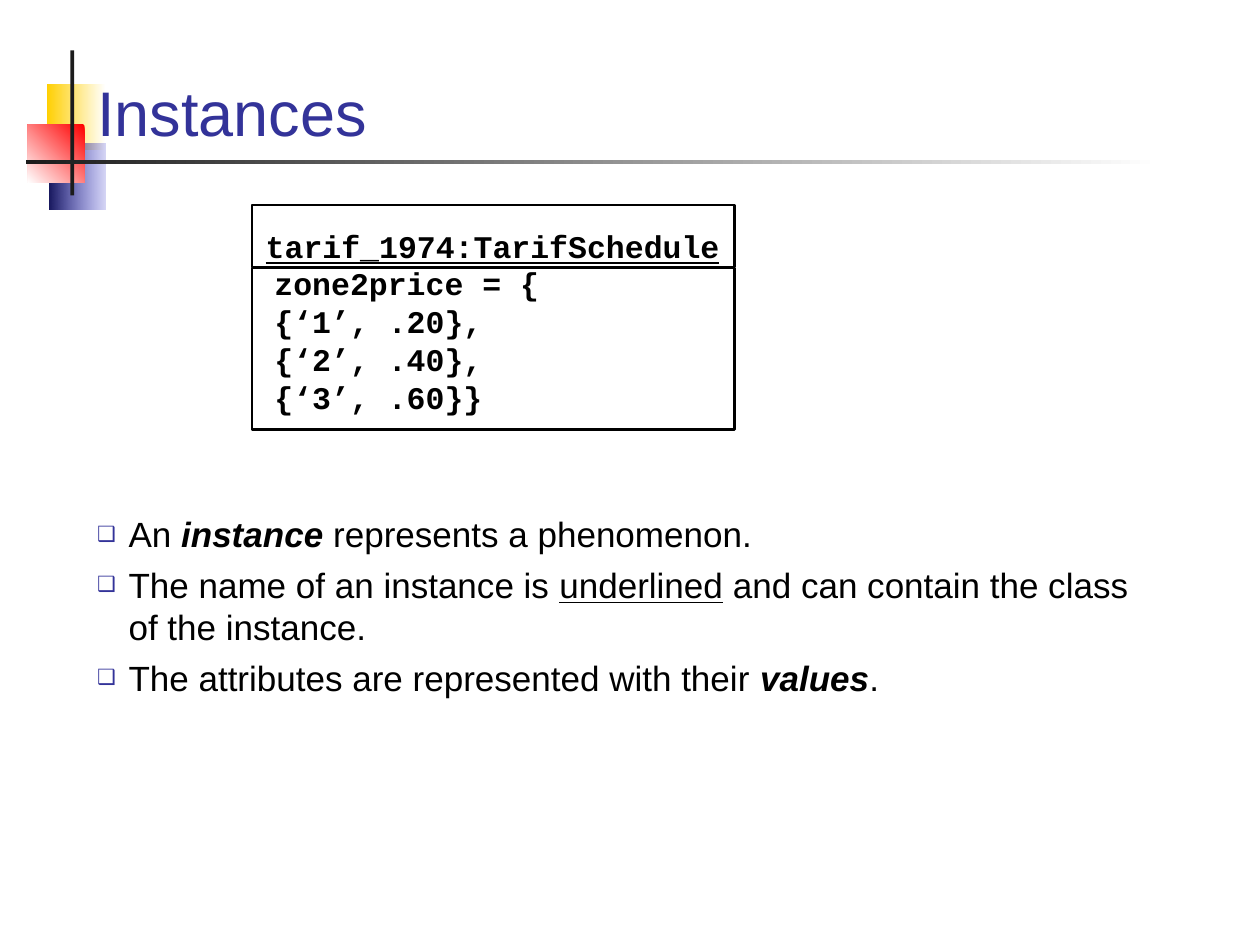
import lxml.etree
import pptx
import pptx.dml.color
import pptx.enum.shapes
import pptx.enum.text
import pptx.oxml.ns
import pptx.util

COLORS = {
    "white": "FFFFFF", "black": "000000", "title": "333399", "bar": "1C1C1C",
    "yellow": "FFCF01", "red": "FF0000", "blue": "3333CC", "navy": "17175E",
}
INSETS = (0.1, 0.05, 0.1, 0.05)
RECTANGLE = pptx.enum.shapes.MSO_SHAPE.RECTANGLE
BULLETS = [
    [("An ", ""), ("instance", "bi"), (" represents a phenomenon.", "")],
    [("The name of an instance is ", ""), ("underlined", "u"),
     (" and can contain the class of the instance.", "")],
    [("The attributes are represented with their ", ""), ("values", "bi"), (".", "")],
]


def color(name):
    """Return the named colour."""
    return pptx.dml.color.RGBColor.from_string(COLORS[name])


def add_element(parent, tag, **attributes):
    """Append a drawing element to its parent."""
    return lxml.etree.SubElement(parent, pptx.oxml.ns.qn(tag), **attributes)


def place(shape, area):
    """Move and size a shape in inches."""
    shape.left, shape.top, shape.width, shape.height = map(pptx.util.Inches, area)


def add_block(slide, area):
    """Add a rectangle without fill, line or shadow."""
    block = slide.shapes.add_shape(RECTANGLE, *map(pptx.util.Inches, area))
    block.shadow.inherit = False
    block.fill.background()
    block.line.fill.background()
    return block


def add_gradient(slide, area, start, end, angle=180, start_alpha=None):
    """Add a rectangle with a two-colour gradient."""
    fill = add_block(slide, area).fill
    fill.gradient()
    fill.gradient_angle = angle
    for stop, name, position in zip(fill.gradient_stops, (start, end), (0, 1)):
        stop.color.rgb = color(name)
        stop.position = position
    if start_alpha is not None:
        tone = fill._fill._gradFill.find(".//" + pptx.oxml.ns.qn("a:srgbClr"))
        add_element(tone, "a:alpha", val=str(start_alpha * 1000))


def add_frame(slide, area):
    """Add an outlined compartment of the instance box."""
    line = add_block(slide, area).line
    line.color.rgb = color("black")
    line.width = pptx.util.Pt(1.25)


def format_run(run, font, size, tone, style=""):
    """Format a run; style holds the letters b, i and u."""
    run.font.name = font
    run.font.size = pptx.util.Pt(size)
    run.font.color.rgb = color(tone)
    run.font.bold = "b" in style
    run.font.italic = "i" in style
    run.font.underline = "u" in style


def set_frame(frame, insets=INSETS, wrap=True):
    """Set the insets and wrapping of a text frame."""
    frame.auto_size = pptx.enum.text.MSO_AUTO_SIZE.NONE
    frame.word_wrap = wrap
    (frame.margin_left, frame.margin_top,
     frame.margin_right, frame.margin_bottom) = map(pptx.util.Inches, insets)


def add_code(slide, area, text, style, insets=INSETS, wrap=True, align=None):
    """Add a text box in the code font."""
    frame = slide.shapes.add_textbox(*map(pptx.util.Inches, area)).text_frame
    set_frame(frame, insets, wrap)
    frame.text = text
    for para in frame.paragraphs:
        para.alignment = align
        for run in para.runs:
            format_run(run, "Courier New", 18, "black", style)


def add_bullet(para):
    """Give a paragraph its hollow square bullet and hanging indent."""
    properties = para._p.get_or_add_pPr()
    indent = pptx.util.Inches(0.25)
    properties.set("marL", str(indent))
    properties.set("indent", str(-indent))
    tone = add_element(properties, "a:buClr")
    add_element(tone, "a:srgbClr", val=COLORS["title"])
    add_element(properties, "a:buSzPct", val="60000")
    add_element(properties, "a:buFont", typeface="Arial")
    add_element(properties, "a:buChar", char="❑")


def add_decoration(slide):
    """Draw the coloured squares and crossing bars beside the title."""
    add_gradient(slide, (0.37, 0.67, 0.47, 0.52), "white", "yellow")
    add_gradient(slide, (0.39, 1.14, 0.45, 0.52), "blue", "navy", start_alpha=20)
    add_gradient(slide, (0.22, 0.99, 0.45, 0.46), "red", "white", angle=225)
    bar = add_block(slide, (0.56, 0.4, 0.03, 1.15))
    bar.fill.solid()
    bar.fill.fore_color.rgb = color("bar")
    add_gradient(slide, (0.21, 1.27, 9, 0.03), "white", "bar")


def fill_title(title):
    """Write the title above the rule."""
    place(title, (0.67, 0.28, 8.66, 0.95))
    frame = title.text_frame
    set_frame(frame)
    frame.vertical_anchor = pptx.enum.text.MSO_ANCHOR.BOTTOM
    frame.text = "Instances"
    para = frame.paragraphs[0]
    para.alignment = pptx.enum.text.PP_ALIGN.LEFT
    format_run(para.runs[0], "Arial", 36, "title")


def fill_body(body):
    """Write the bulleted list."""
    place(body, (0.67, 4.02, 8.66, 2.36))
    frame = body.text_frame
    set_frame(frame)
    for index, pieces in enumerate(BULLETS):
        para = frame.add_paragraph() if index else frame.paragraphs[0]
        add_bullet(para)
        para.space_before = pptx.util.Pt(5 if index else 0)
        for text, style in pieces:
            run = para.add_run()
            run.text = text
            format_run(run, "Arial", 20, "black", style)


def add_instance(slide):
    """Draw the instance box with its name and attribute values."""
    add_code(slide, (2.08, 2.05, 3.8, 1.3),
             "zone2price = {\n{‘1’, .20},\v{‘2’, .40},\n{‘3’, .60}}", "b")
    add_frame(slide, (2, 1.63, 3.83, 0.49))
    add_code(slide, (2.11, 1.8, 3.6, 0.3), "tarif_1974:TarifSchedule", "bu",
             (0, 0, 0, 0), False, pptx.enum.text.PP_ALIGN.CENTER)
    add_frame(slide, (2, 2.13, 3.83, 1.28))


def main():
    """Build and save the slide."""
    deck = pptx.Presentation()
    deck.slide_width = pptx.util.Inches(10)
    deck.slide_height = pptx.util.Inches(7.5)
    slide = deck.slides.add_slide(deck.slide_layouts[1])
    title, body = slide.placeholders
    add_decoration(slide)
    for holder in (title, body):
        slide.shapes._spTree.append(holder._element)
    fill_title(title)
    fill_body(body)
    add_instance(slide)
    deck.save("out.pptx")


if __name__ == "__main__":
    main()
